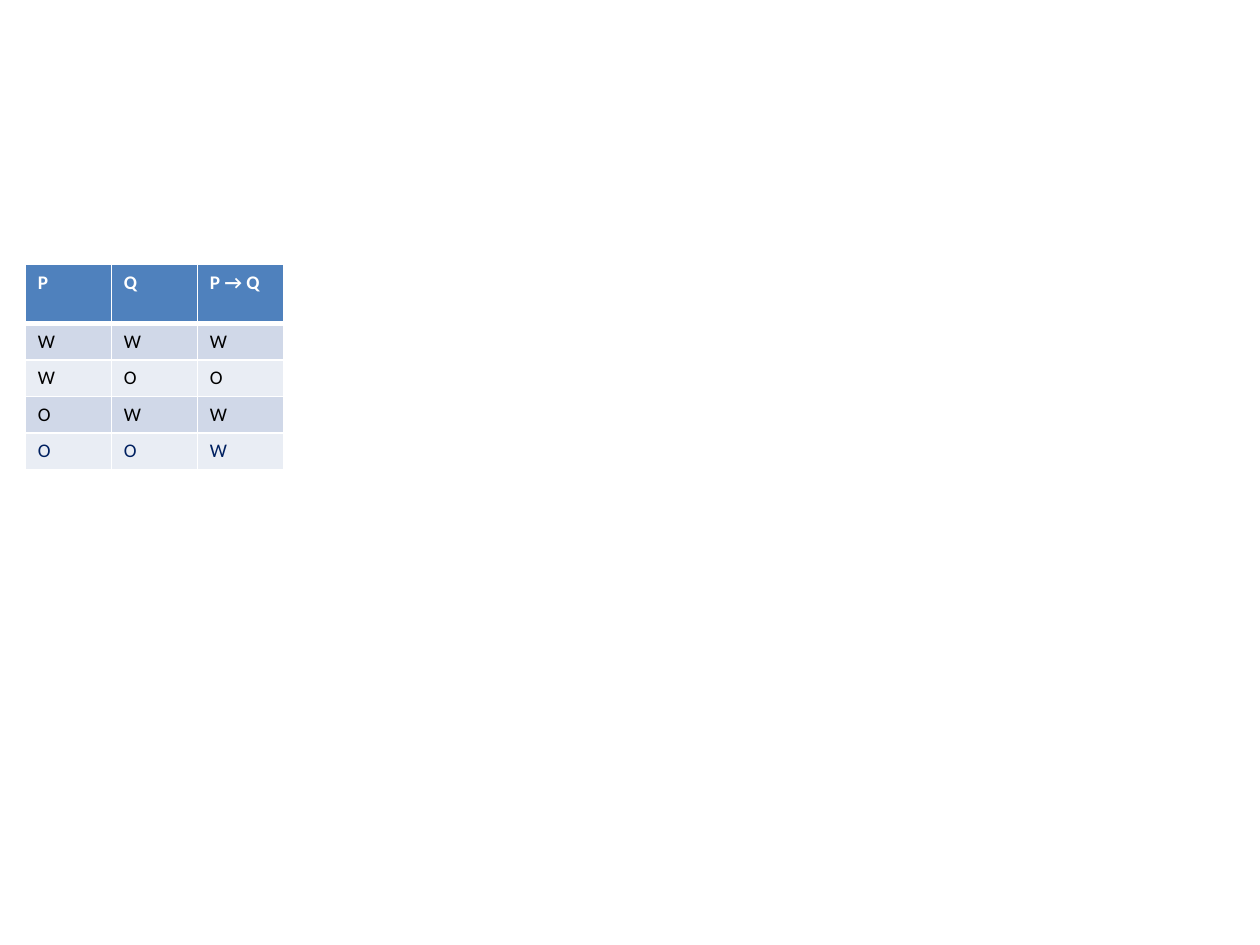
from lxml import etree
from pptx import Presentation
from pptx.dml.color import RGBColor
from pptx.oxml.ns import qn
from pptx.util import Inches, Pt

BLANK = 6
COLORS = {
    "head": "4F81BD", "odd": "D0D8E8", "even": "E9EDF4",
    "white": "FFFFFF", "black": "000000", "navy": "002060",
}
ROWS = [
    ("P", "Q", "P → Q"),
    ("W", "W", "W"),
    ("W", "O", "O"),
    ("O", "W", "W"),
    ("O", "O", "W"),
]


def color(name):
    return RGBColor.from_string(COLORS[name])


def set_edges(cell, widths):
    """Draw white cell borders; widths maps each side to points."""
    props = cell._tc.get_or_add_tcPr()
    for spot, (side, width) in enumerate(widths.items()):
        line = etree.Element(qn(f"a:ln{side}"), w=str(Pt(width)))
        fill = etree.SubElement(line, qn("a:solidFill"))
        etree.SubElement(fill, qn("a:srgbClr"), val=COLORS["white"])
        props.insert(spot, line)


def fill_cell(cell, text, fill, ink, bold):
    cell.text = text
    cell.fill.solid()
    cell.fill.fore_color.rgb = color(fill)
    font = cell.text_frame.paragraphs[0].runs[0].font
    for key, value in {"name": "Calibri", "size": Pt(11), "bold": bold}.items():
        setattr(font, key, value)
    font.color.rgb = color(ink)


def add_truth(slide, left, top, width, height):
    """Place the truth table, with a taller header row."""
    table = slide.shapes.add_table(
        len(ROWS), len(ROWS[0]), left, top, width, height).table
    head = Inches(0.47)
    last = len(ROWS) - 1
    for r, texts in enumerate(ROWS):
        table.rows[r].height = head if r == 0 else (height - head) // last
        fill = "head" if r == 0 else "odd" if r % 2 else "even"
        ink = "white" if r == 0 else "navy" if r == last else "black"
        edges = {"L": 1, "R": 1, "T": 3 if r == 1 else 1, "B": 3 if r == 0 else 1}
        for c, text in enumerate(texts):
            cell = table.cell(r, c)
            fill_cell(cell, text, fill, ink, r == 0)
            set_edges(cell, edges)


def main():
    deck = Presentation()
    deck.slide_width, deck.slide_height = Inches(10), Inches(7.5)
    slide = deck.slides.add_slide(deck.slide_layouts[BLANK])
    add_truth(slide, Inches(0.2), Inches(2.1), Inches(2.05), Inches(1.6))
    deck.save("out.pptx")


if __name__ == "__main__":
    main()
